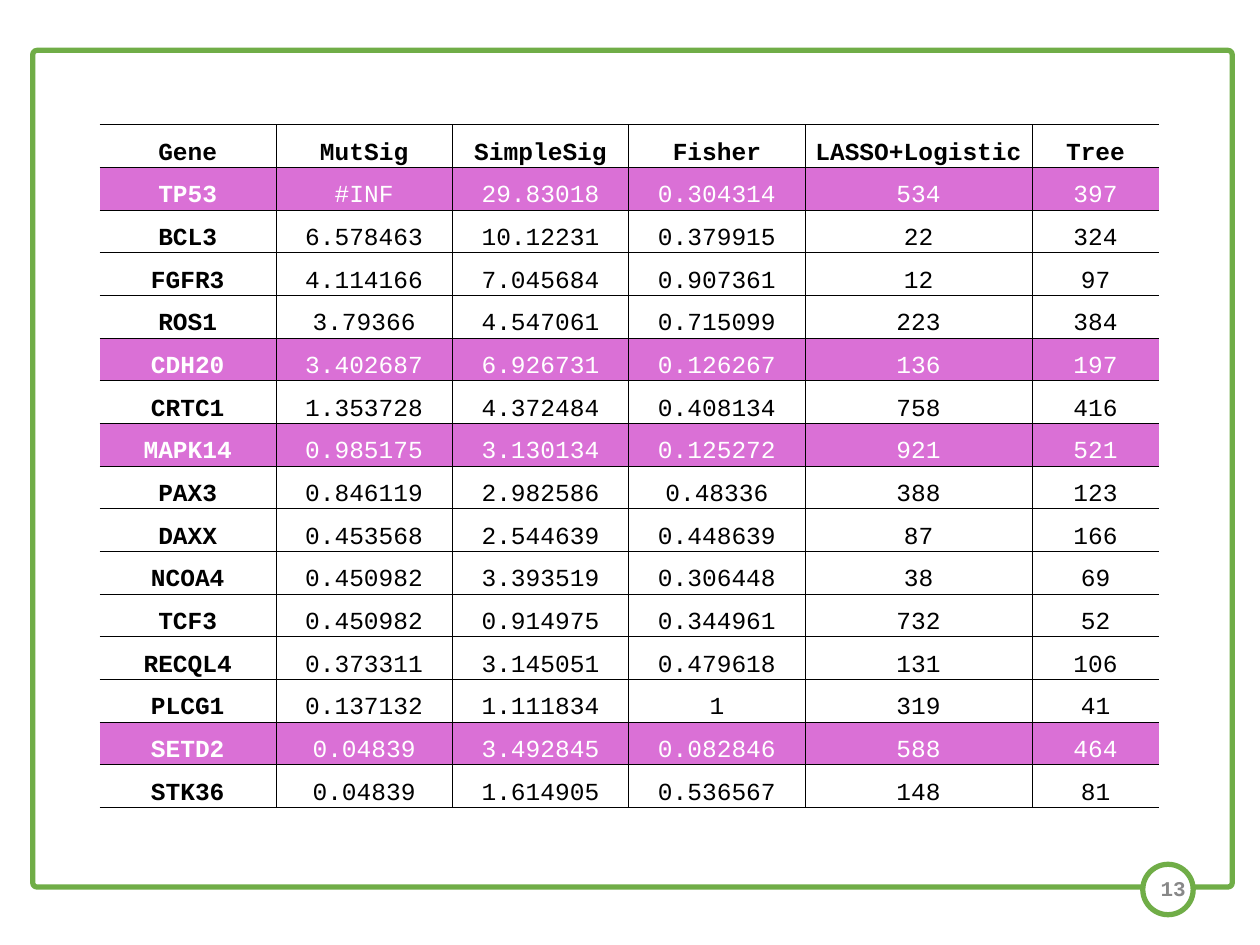
from dataclasses import dataclass

from lxml.etree import SubElement
from pptx import Presentation
from pptx.dml.color import RGBColor
from pptx.enum.shapes import MSO_SHAPE as SHAPE
from pptx.enum.text import MSO_ANCHOR as ANCHOR, PP_ALIGN as ALIGN
from pptx.oxml.ns import qn
from pptx.util import Inches, Pt

# Content
HEADER = ("Gene", "MutSig", "SimpleSig", "Fisher", "LASSO+Logistic", "Tree")
GENES = [
    ("TP53", "#INF", "29.83018", "0.304314", "534", "397"),
    ("BCL3", "6.578463", "10.12231", "0.379915", "22", "324"),
    ("FGFR3", "4.114166", "7.045684", "0.907361", "12", "97"),
    ("ROS1", "3.79366", "4.547061", "0.715099", "223", "384"),
    ("CDH20", "3.402687", "6.926731", "0.126267", "136", "197"),
    ("CRTC1", "1.353728", "4.372484", "0.408134", "758", "416"),
    ("MAPK14", "0.985175", "3.130134", "0.125272", "921", "521"),
    ("PAX3", "0.846119", "2.982586", "0.48336", "388", "123"),
    ("DAXX", "0.453568", "2.544639", "0.448639", "87", "166"),
    ("NCOA4", "0.450982", "3.393519", "0.306448", "38", "69"),
    ("TCF3", "0.450982", "0.914975", "0.344961", "732", "52"),
    ("RECQL4", "0.373311", "3.145051", "0.479618", "131", "106"),
    ("PLCG1", "0.137132", "1.111834", "1", "319", "41"),
    ("SETD2", "0.04839", "3.492845", "0.082846", "588", "464"),
    ("STK36", "0.04839", "1.614905", "0.536567", "148", "81"),
]
HIGHLIGHTED = {"TP53", "CDH20", "MAPK14", "SETD2"}
PAGE_NUMBER = "13"

# Layout, in inches
SLIDE = (10, 7.5)
FRAME = (0.26, 0.4, 9.52, 6.64)
BADGE = (9.07, 6.86, 0.4, 0.4)
NUMBER = (9.04, 6.9, 0.42, 0.3)
TABLE = (0.79, 0.99, 8.43, 5.42)
COLUMNS = (1.4, 1.4, 1.4, 1.4, 1.8, 1.01)


@dataclass(frozen=True)
class Theme:
    font: str = "Courier New"
    green: str = "70AD47"
    orchid: str = "DA70D6"
    white: str = "FFFFFF"
    black: str = "000000"
    gray: str = "888888"
    cell_size: int = 14
    number_size: int = 12
    frame_line: float = 3
    rule: float = 0.5


T = Theme()


def rgb(color):
    return RGBColor.from_string(color)


def write(tf, text, size=T.cell_size, color=T.black, bold=False, align=ALIGN.CENTER):
    p = tf.paragraphs[0]
    p.alignment = align
    r = p.add_run()
    r.text = text
    r.font.name, r.font.size, r.font.bold = T.font, Pt(size), bold
    r.font.color.rgb = rgb(color)


def add_outline(s, kind, box, fill=None):
    sp = s.shapes.add_shape(kind, *map(Inches, box))
    sp.shadow.inherit = False
    if fill:
        sp.fill.solid()
        sp.fill.fore_color.rgb = rgb(fill)
    else:
        sp.fill.background()
    sp.line.color.rgb = rgb(T.green)
    sp.line.width = Pt(T.frame_line)
    return sp


def set_borders(cell, sides):
    """Rule the given sides and clear the others; call before filling the cell."""
    tc_pr = cell._tc.get_or_add_tcPr()
    for side in "LRTB":
        ln = SubElement(tc_pr, qn(f"a:ln{side}"), w=str(Pt(T.rule)))
        if side in sides:
            fill = SubElement(ln, qn("a:solidFill"))
            SubElement(fill, qn("a:srgbClr"), val=T.black)
        else:
            SubElement(ln, qn("a:noFill"))


def add_gene_table(s):
    rows = [HEADER, *GENES]
    last = len(COLUMNS) - 1
    table = s.shapes.add_table(len(rows), len(COLUMNS), *map(Inches, TABLE)).table
    table.first_row = table.horz_banding = False
    for column, width in zip(table.columns, COLUMNS):
        column.width = Inches(width)
    for i, row in enumerate(rows):
        table.rows[i].height = Inches(TABLE[3] / len(rows))
        marked = row[0] in HIGHLIGHTED
        for j, text in enumerate(row):
            cell = table.cell(i, j)
            set_borders(cell, "TB" + "L" * (j > 0) + "R" * (j < last))
            cell.fill.solid()
            cell.fill.fore_color.rgb = rgb(T.orchid if marked else T.white)
            cell.vertical_anchor = ANCHOR.BOTTOM
            cell.margin_left = cell.margin_right = cell.margin_top = Inches(0.01)
            cell.margin_bottom = 0
            write(cell.text_frame, text, bold=i == 0 or j == 0,
                  color=T.white if marked else T.black)


def add_page_number(s):
    tf = s.shapes.add_textbox(*map(Inches, NUMBER)).text_frame
    tf.word_wrap = True
    tf.vertical_anchor = ANCHOR.MIDDLE
    tf.margin_left = tf.margin_right = tf.margin_top = tf.margin_bottom = Inches(0.05)
    write(tf, PAGE_NUMBER, size=T.number_size, color=T.gray, bold=True, align=ALIGN.RIGHT)


def main():
    prs = Presentation()
    prs.slide_width, prs.slide_height = map(Inches, SLIDE)
    s = prs.slides.add_slide(prs.slide_layouts[6])

    # Frame and page badge
    frame = add_outline(s, SHAPE.ROUNDED_RECTANGLE, FRAME)
    frame.adjustments[0] = 0.005
    add_outline(s, SHAPE.OVAL, BADGE, fill=T.white)
    add_page_number(s)

    # Gene scores
    add_gene_table(s)
    prs.save("out.pptx")


if __name__ == "__main__":
    main()
